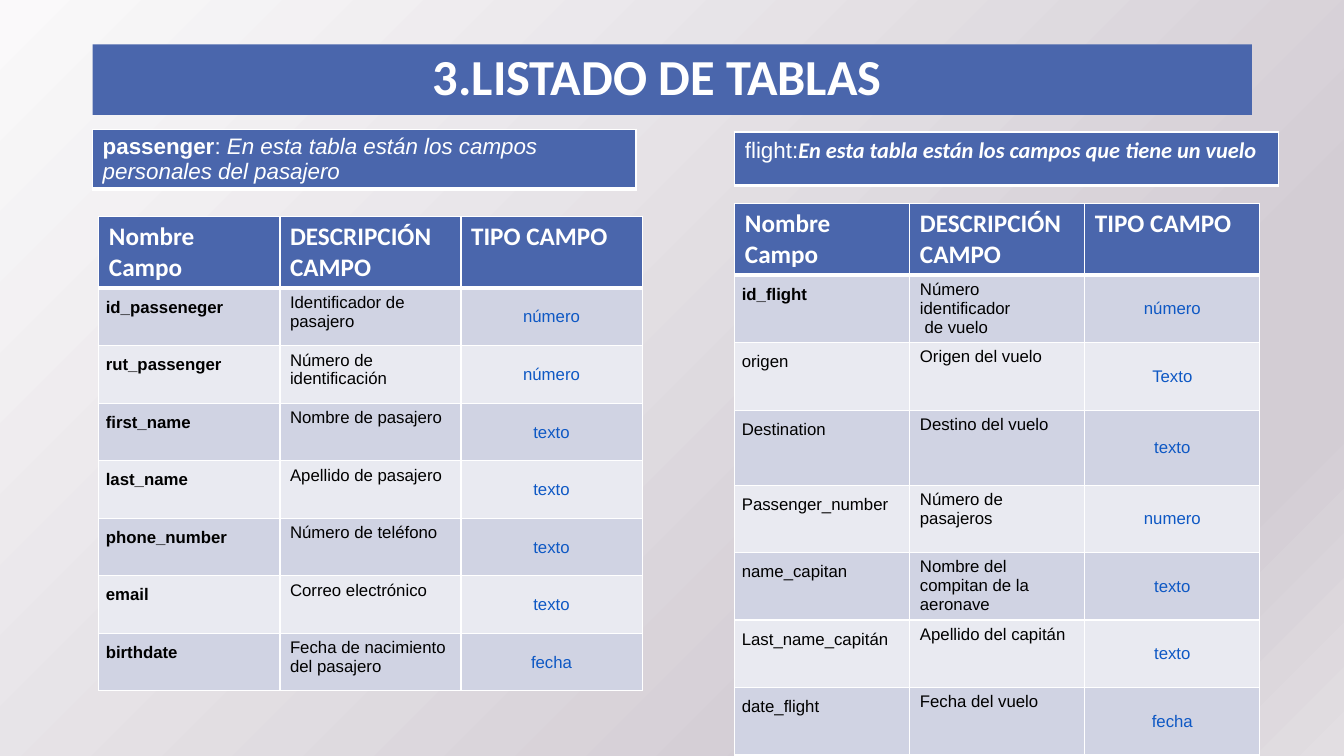
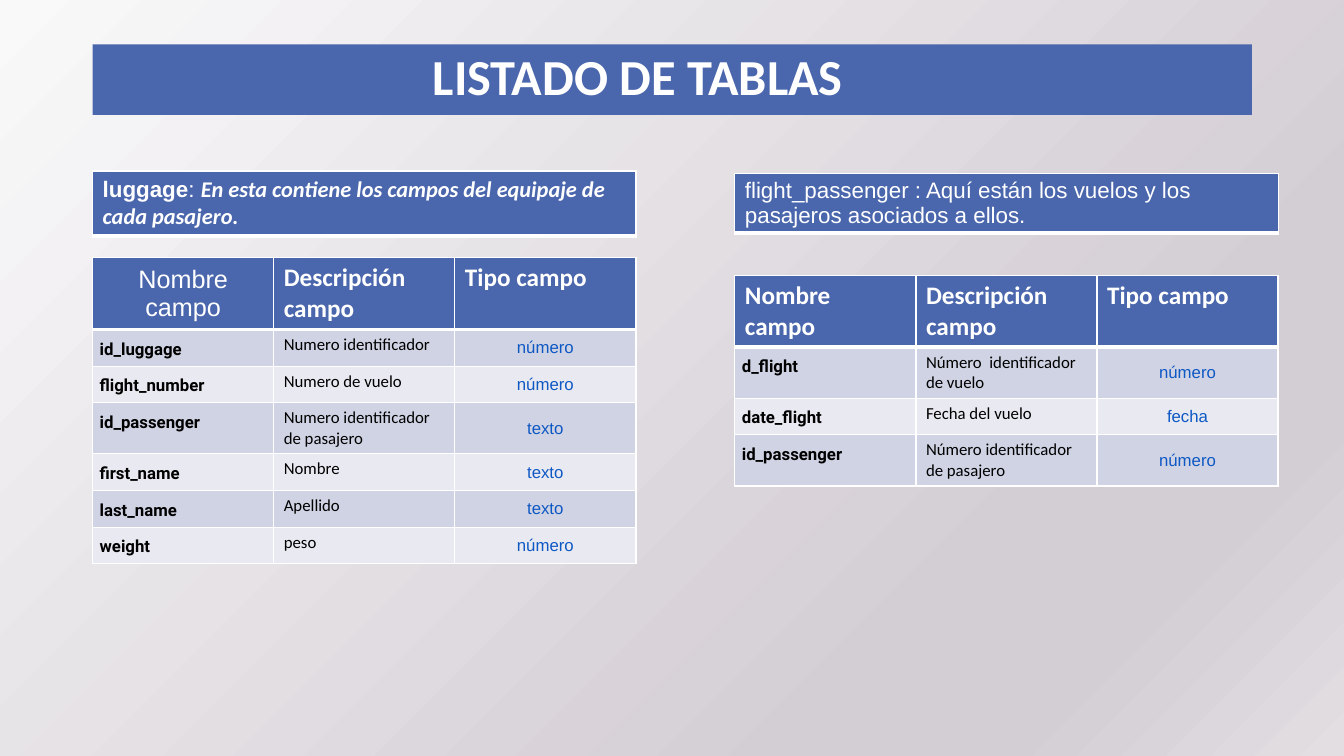
"""Build two slides that list the fields of the flight database tables."""
from lxml.etree import SubElement
from pptx import Presentation
from pptx.dml.color import RGBColor
from pptx.enum.text import MSO_ANCHOR as Anchor, MSO_AUTO_SIZE as Fit, PP_ALIGN as Align
from pptx.oxml.ns import qn
from pptx.util import Pt

BLUE = RGBColor(0x4A, 0x66, 0xAC)
LINK = RGBColor(0x0E, 0x58, 0xC4)
DARK = RGBColor(0xD0, 0xD3, 0xE3)
PALE = RGBColor(0xE9, 0xEA, 0xF1)
WHITE = RGBColor(0xFF, 0xFF, 0xFF)
BLACK = RGBColor(0x00, 0x00, 0x00)
STOPS = [
    (0, RGBColor(0xFA, 0xF9, 0xFA)),
    (74, RGBColor(0xD3, 0xCD, 0xD4)),
    (83, RGBColor(0xD3, 0xCD, 0xD4)),
    (100, RGBColor(0xE2, 0xDE, 0xE2)),
]
HEAD = 51


def add_grid(slide, left, top, width, cols, rows):
    """Add a plain table with equal columns and the given row heights."""
    frame = slide.shapes.add_table(
        len(rows), cols, Pt(left), Pt(top), Pt(width), Pt(sum(rows)))
    grid = frame.table
    grid.first_row = grid.horz_banding = False
    for col in grid.columns:
        col.width = Pt(width / cols)
    for row, height in zip(grid.rows, rows):
        row.height = Pt(height)
    return grid


def paint(cell, fill, top, bottom):
    """Give a cell white borders and a solid fill."""
    props = cell._tc.get_or_add_tcPr()
    for side, width in (("L", 1), ("R", 1), ("T", top), ("B", bottom)):
        line = SubElement(props, qn(f"a:ln{side}"), w=str(Pt(width)))
        solid = SubElement(line, qn("a:solidFill"))
        SubElement(solid, qn("a:srgbClr"), val=str(WHITE))
    cell.fill.solid()
    cell.fill.fore_color.rgb = fill


SLIDES = [
    ("3.LISTADO DE TABLAS", [
        {
            "note": (66.2, 92.2, [
                ("passenger", "Arial", True, False),
                (": ", "Arial", False, False),
                ("En esta tabla están los campos personales del pasajero",
                 "Arial", False, True)]),
            "box": (70.6, 154.8, 388.1),
            "fonts": ("Arial", "Arial", "Arial"),
            "bold": 7,
            "head": ["Nombre Campo", "DESCRIPCIÓN CAMPO", "TIPO CAMPO"],
            "rows": [
                (41.1, "id_passeneger", "Identificador de pasajero", "número"),
                (41.1, "rut_passenger", "Número de identificación", "número"),
                (41.1, "first_name", "Nombre de pasajero", "texto"),
                (41.1, "last_name", "Apellido de pasajero", "texto"),
                (41.1, "phone_number", "Número de teléfono", "texto"),
                (41.1, "email", "Correo electrónico", "texto"),
                (41.1, "birthdate", "Fecha de nacimiento del pasajero", "fecha"),
            ],
        },
        {
            "note": (524.9, 94.3, [
                ("flight:", "Arial", False, False),
                ("En esta tabla están los campos que tiene un vuelo",
                 "Calibri", True, True)]),
            "box": (524.9, 145.4, 375.1),
            "fonts": ("Arial", "Arial", "Arial"),
            "bold": 1,
            "head": ["Nombre Campo", "DESCRIPCIÓN CAMPO", "TIPO CAMPO"],
            "rows": [
                (48.2, "id_flight", "Número identificador\v de vuelo", "número"),
                (48.2, "origen", "Origen del vuelo", "Texto"),
                (53.6, "Destination", "Destino del vuelo", "texto"),
                (48.2, "Passenger_number", "Número de pasajeros", "numero"),
                (48.2, "name_capitan", "Nombre del compitan de la aeronave", "texto"),
                (48.2, "Last_name_capitán", "Apellido del capitán", "texto"),
                (48.2, "date_flight", "Fecha del vuelo", "fecha"),
            ],
        },
    ]),
    ("LISTADO DE TABLAS", [
        {
            "note": (66.2, 122.2, [
                ("luggage", "Arial", True, False),
                (": ", "Arial", False, False),
                ("En esta contiene los campos del equipaje de cada pasajero.",
                 "Calibri", True, True)]),
            "box": (66.2, 184.2, 388.1),
            "fonts": ("Roboto", "Calibri", "Arial"),
            "bold": 6,
            "head": ["Nombre campo", "Descripción\ncampo", "Tipo campo"],
            "plain": True,
            "rows": [
                (26.1, "id_luggage", "Numero identificador", "número"),
                (26.1, "flight_number", "Numero de vuelo", "número"),
                (36.4, "id_passenger", "Numero identificador de pasajero", "texto"),
                (26.1, "first_name", "Nombre", "texto"),
                (26.1, "last_name", "Apellido", "texto"),
                (26.1, "weight", "peso", "número"),
            ],
        },
        {
            "note": (524.9, 123.9, [
                ("flight_passenger : Aquí están los vuelos y los pasajeros "
                 "asociados a ellos.", "Arial", False, False)]),
            "box": (524.9, 196.8, 388.1),
            "fonts": ("Roboto", "Calibri", "Arial"),
            "bold": 3,
            "head": ["Nombre campo", "Descripción campo", "Tipo campo"],
            "rows": [
                (36.4, "d_flight", "Número  identificador de vuelo", "número"),
                (26.1, "date_flight", "Fecha del vuelo", "fecha"),
                (36.4, "id_passenger", "Número identificador de pasajero", "número"),
            ],
        },
    ]),
]

deck = Presentation()
deck.slide_width, deck.slide_height = Pt(960), Pt(540)

back = deck.slide_master.background.fill
back.gradient()
back.gradient_angle = 315
stops = deck.slide_master.element.find(".//" + qn("a:gsLst"))
stops.clear()
for place, color in STOPS:
    stop = SubElement(stops, qn("a:gs"), pos=str(place * 1000))
    SubElement(stop, qn("a:srgbClr"), val=str(color))

for name, tables in SLIDES:
    slide = deck.slides.add_slide(deck.slide_layouts[5])
    title = slide.shapes.title
    title.left, title.top, title.width, title.height = Pt(66.2), Pt(31.7), Pt(828), Pt(50.4)
    title.fill.solid()
    title.fill.fore_color.rgb = BLUE
    frame = title.text_frame
    frame.text = name
    frame.auto_size = Fit.NONE
    frame.vertical_anchor = Anchor.MIDDLE
    frame.margin_left = Pt(243)
    para = frame.paragraphs[0]
    para.alignment = Align.LEFT
    para.line_spacing = 0.9
    para.font.name, para.font.size, para.font.bold = "Calibri", Pt(36), True
    para.font.color.rgb = WHITE

    for table in tables:
        left, top, runs = table["note"]
        cell = add_grid(slide, left, top, 388.1, 1, [38.2]).cell(0, 0)
        paint(cell, BLUE, 1, 3)
        para = cell.text_frame.paragraphs[0]
        para.font.size = Pt(16)
        para.font.color.rgb = WHITE
        for text, face, bold, slant in runs:
            run = para.add_run()
            run.text = text
            run.font.name, run.font.bold, run.font.italic = face, bold, slant

        heights = [HEAD] + [row[0] for row in table["rows"]]
        grid = add_grid(slide, *table["box"], 3, heights)
        lines = [table["head"]] + [row[1:] for row in table["rows"]]
        for r, line in enumerate(lines):
            for c, text in enumerate(line):
                cell = grid.cell(r, c)
                plain = r == c == 0 and "plain" in table
                mid = plain or (r > 0 and c == 2)
                if r == 0:
                    paint(cell, BLUE, 1, 3)
                    face, size, color = "Arial" if plain else "Calibri", 18, WHITE
                    bold = not plain
                else:
                    paint(cell, DARK if r % 2 else PALE, 3 if r == 1 else 1, 1)
                    face, size, color = table["fonts"][c], 12, LINK if c == 2 else BLACK
                    bold = c == 0 and r <= table["bold"]
                if mid:
                    cell.vertical_anchor = Anchor.MIDDLE
                if mid or (r > 0 and c == 0):
                    cell.margin_left = cell.margin_right = Pt(5)
                if r > 0 and c == 0:
                    cell.margin_top = cell.margin_bottom = Pt(5)
                cell.text_frame.text = text
                for para in cell.text_frame.paragraphs:
                    para.font.name, para.font.size, para.font.bold = face, Pt(size), bold
                    para.font.color.rgb = color
                    if mid:
                        para.alignment = Align.CENTER
                    elif r > 0 and c == 0:
                        para.line_spacing = 1.15

deck.save("out.pptx")
